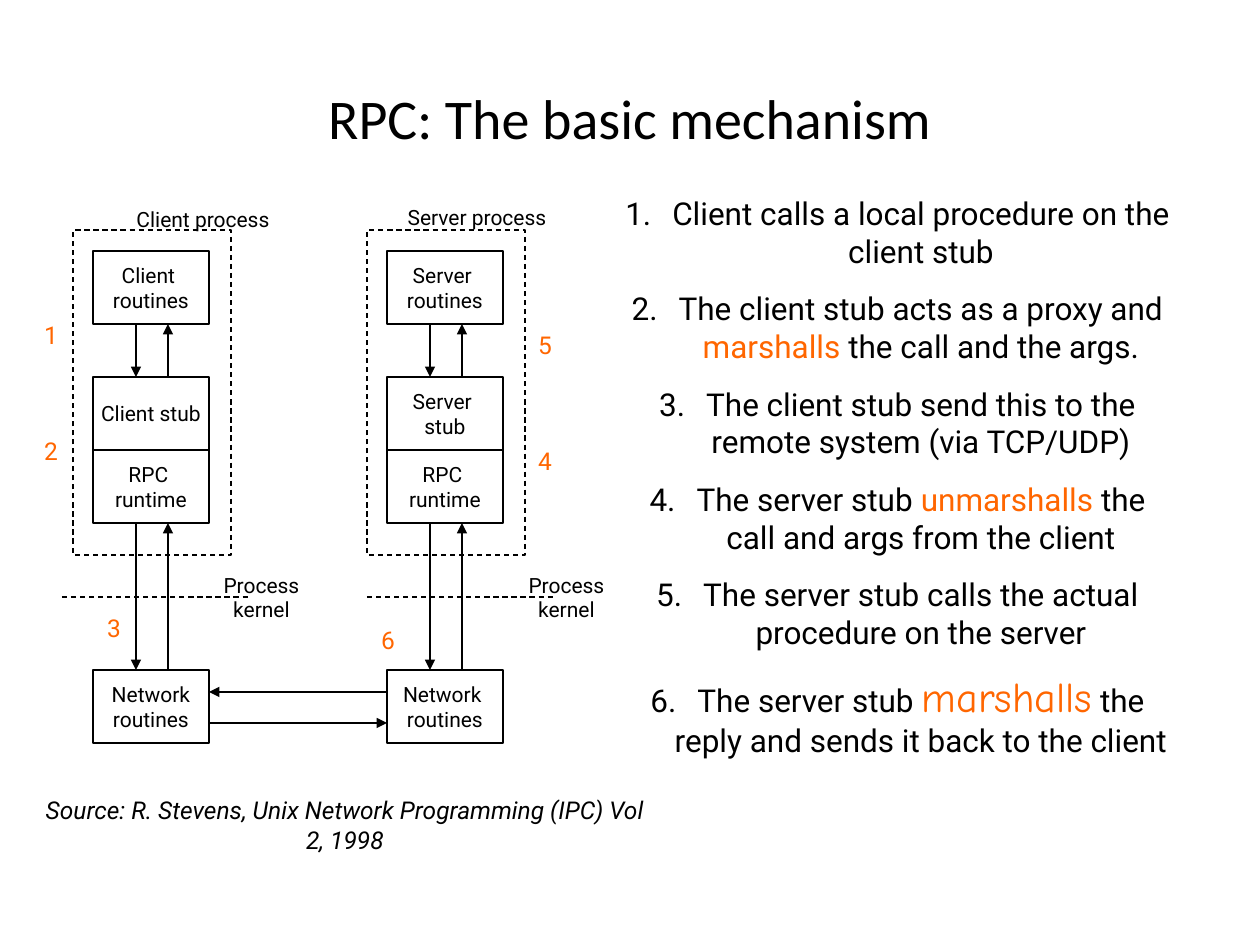
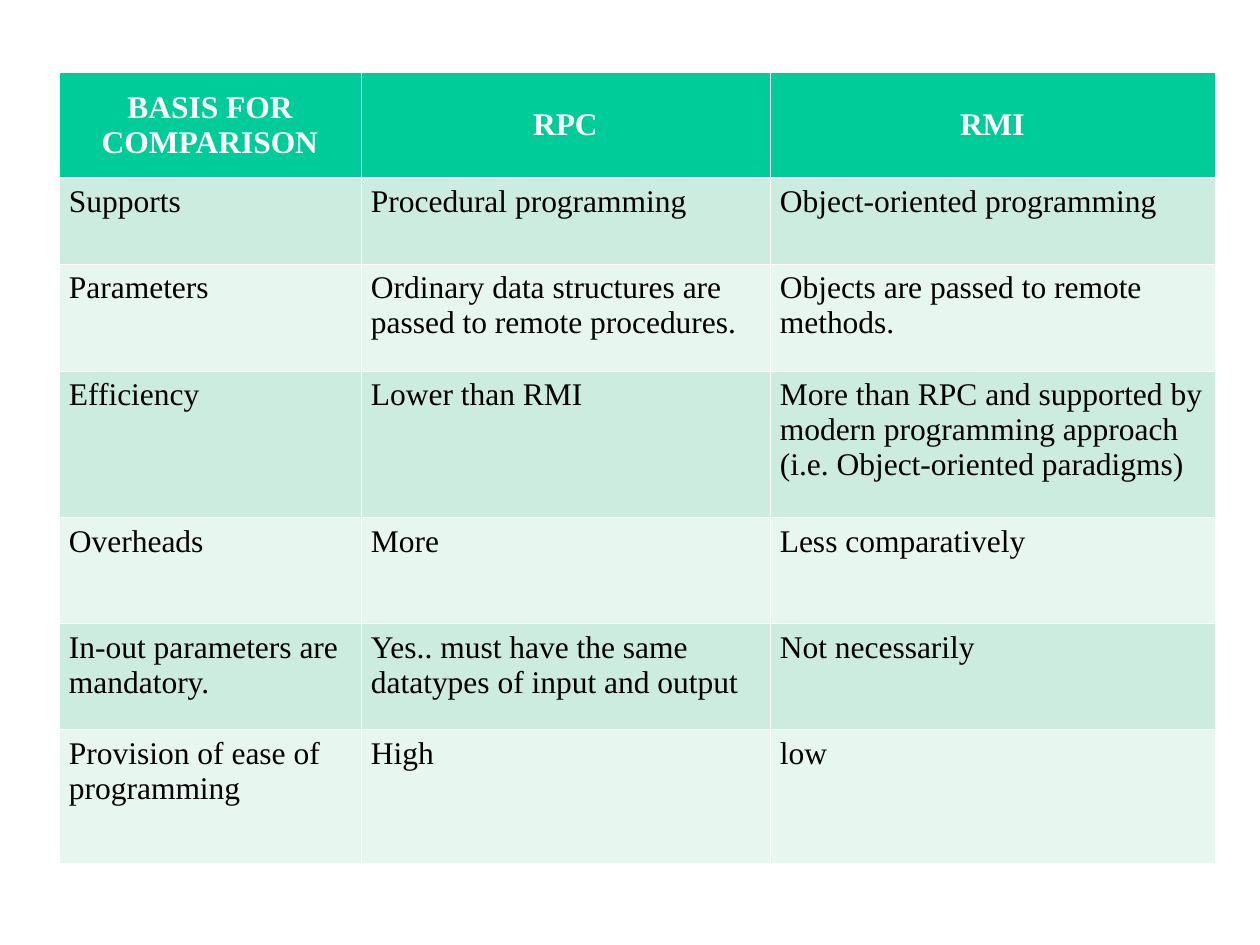
from dataclasses import dataclass
from lxml import etree
from pptx import Presentation, util as u
from pptx.dml.color import RGBColor
from pptx.enum import dml, shapes, text
from pptx.oxml import ns


@dataclass
class Theme:
    ink: str = "000000"
    hot: str = "FF6600"
    pale: str = "FFFFFF"
    head: str = "00CC99"
    bands: tuple = ("CBECDE", "E7F6EF")
    sans: str = "Roboto"
    serif: str = "Times New Roman"
    top: str = "Calibri"
    hand: str = "Comic Neue"
    title: int = 32
    large: int = 24
    body: int = 18
    note: int = 14
    small: int = 12
    rule: float = 0.75


look = Theme()
PX = 914400 / 126
MID = text.PP_ALIGN.CENTER


def say(para, words, size, ink=look.ink, face=look.sans):
    run = para.add_run()
    run.text = words
    run.font.size = u.Pt(size)
    run.font.name = face
    run.font.color.rgb = RGBColor.from_string(ink)
    return run


def link(x1, y1, x2, y2, dash=False):
    """Draw a dashed divider, or an arrow that points at (x2, y2)."""
    ends = [round(n * PX) for n in (x1, y1, x2, y2)]
    wire = one.shapes.add_connector(shapes.MSO_CONNECTOR.STRAIGHT, *ends)
    wire.line.color.rgb = RGBColor.from_string(look.ink)
    wire.line.width = u.Pt(look.rule)
    if dash:
        wire.line.dash_style = dml.MSO_LINE.DASH
    else:
        edge = wire.element.spPr.find(ns.qn("a:ln"))
        etree.SubElement(edge, ns.qn("a:tailEnd"), type="triangle")
    etree.SubElement(wire.element.spPr, ns.qn("a:effectLst"))


deck = Presentation()
deck.slide_width, deck.slide_height = u.Inches(10), u.Inches(7.5)

# Slide 1: title
one = deck.slides.add_slide(deck.slide_layouts[5])
title = one.shapes.title
title.left, title.top, title.width, title.height = [
    round(n * PX) for n in (63, 38, 1134, 158)]
title.text_frame.auto_size = text.MSO_AUTO_SIZE.NONE
title.text_frame.vertical_anchor = text.MSO_ANCHOR.MIDDLE
para = title.text_frame.paragraphs[0]
para.alignment = MID
say(para, "RPC: The basic mechanism", look.title, face=look.top)

# Client and server stacks: box rows and their text lines
tops = (251, 377, 450, 670)
stacks = [
    (0, (("Client ", "routines"), ("Client stub",),
         ("RPC ", "runtime"), ("Network", "routines"))),
    (294, (("Server ", "routines"), ("Server ", "stub"),
           ("RPC ", "runtime"), ("Network ", "routines"))),
]
for shift, names in stacks:
    parts = [(93 + shift, top, 116, 73, lines)
             for top, lines in zip(tops, names)]
    parts.append((73 + shift, 230, 158, 325, ()))
    for x, y, w, h, lines in parts:
        box = one.shapes.add_shape(
            shapes.MSO_SHAPE.RECTANGLE, *[round(n * PX) for n in (x, y, w, h)])
        box.shadow.inherit = False
        box.fill.background()
        box.line.color.rgb = RGBColor.from_string(look.ink)
        box.line.width = u.Pt(look.rule)
        if not lines:
            box.line.dash_style = dml.MSO_LINE.DASH
        frame = box.text_frame
        frame.word_wrap = False
        frame.vertical_anchor = text.MSO_ANCHOR.MIDDLE
        for i, words in enumerate(lines):
            para = frame.add_paragraph() if i else frame.paragraphs[0]
            para.alignment = MID
            say(para, words, look.small)
    for high, low in ((324, 377), (523, 670)):
        link(136 + shift, high, 136 + shift, low)
        link(168 + shift, low, 168 + shift, high)

# Network arrows and kernel dividers
link(209, 723, 387, 723)
link(387, 692, 209, 692)
for x in (62, 367):
    link(x, 597, x + 189, 597, dash=True)

# Labels, step numbers and source line
labels = [(93, 200, 220, 38, "Client process"),
          (367, 198, 220, 38, "Server process")]
for x in (188, 493):
    labels += [(x, 566, 147, 38, "Process"), (x, 590, 147, 38, "kernel")]
notes = [(x, y, 42, 43, str(i)) for i, (x, y) in enumerate(
    ((30, 314), (30, 430), (93, 607), (524, 440), (524, 324), (367, 619)), 1)]
source = [(30, 789, 630, 72,
           "Source: R. Stevens, Unix Network Programming (IPC) Vol 2, 1998")]
for group, size, ink in ((labels, look.small, look.ink),
                         (notes, look.note, look.hot),
                         (source, look.note, look.ink)):
    for x, y, w, h, words in group:
        box = one.shapes.add_textbox(*[round(n * PX) for n in (x, y, w, h)])
        box.text_frame.word_wrap = True
        para = box.text_frame.paragraphs[0]
        para.alignment = MID
        run = say(para, words, size, ink)
        if group is source:
            run.font.italic = True

# Numbered steps: plain, highlighted and plain words in turn
steps = [
    ("Client calls a local procedure on the client stub",),
    ("The client stub acts as a proxy and ", "marshalls",
     " the call and the args."),
    ("The client stub send this to the remote system (via TCP/UDP)",),
    ("The server stub ", "unmarshalls", " the call and args from the client"),
    ("The server stub calls the actual procedure on the server",),
    ("The server stub ", "marshalls",
     " the reply and sends it back to the client"),
]
box = one.shapes.add_textbox(*[round(n * PX) for n in (609, 188, 577, 580)])
frame = box.text_frame
frame.word_wrap = True
dent = round(47 * PX)
for i, step in enumerate(steps):
    para = frame.add_paragraph() if i else frame.paragraphs[0]
    props = para._p.get_or_add_pPr()
    props.set("marL", str(dent))
    props.set("indent", str(-dent))
    tint = etree.SubElement(props, ns.qn("a:buClr"))
    etree.SubElement(tint, ns.qn("a:srgbClr"), val=look.ink)
    etree.SubElement(props, ns.qn("a:buAutoNum"), type="arabicPeriod")
    para.alignment = MID
    if i:
        para.space_before = u.Pt(11.2)
    for j, words in enumerate(step):
        if j != 1:
            say(para, words, look.body)
        elif i == len(steps) - 1:
            say(para, words, look.large, look.hot, look.hand)
        else:
            say(para, words, look.body, look.hot)

# Slide 2: comparison table
two = deck.slides.add_slide(deck.slide_layouts[6])
rows = [
    ("BASIS FOR COMPARISON", "RPC", "RMI"),
    ("Supports", "Procedural programming", "Object-oriented programming"),
    ("Parameters", "Ordinary data structures are passed to remote procedures.",
     "Objects are passed to remote methods."),
    ("Efficiency", "Lower than RMI",
     "More than RPC and supported by modern programming approach "
     "(i.e. Object-oriented paradigms)"),
    ("Overheads", "More", "Less comparatively"),
    ("In-out parameters are mandatory.",
     "Yes.. must have the same datatypes of input and output",
     "Not necessarily"),
    ("Provision of ease of programming", "High", "low"),
]
wide = (302, 409, 445)
tall = (106, 86, 107, 147, 106, 106, 134)
grid = two.shapes.add_table(len(rows), len(wide), *[
    round(n * PX) for n in (59, 72, sum(wide), sum(tall))]).table
for col, w in zip(grid.columns, wide):
    col.width = round(w * PX)
for r, (row, h) in enumerate(zip(rows, tall)):
    grid.rows[r].height = round(h * PX)
    for c, words in enumerate(row):
        cell = grid.cell(r, c)
        # White borders, thicker under the header
        props = cell._tc.get_or_add_tcPr()
        for side in "LRTB":
            thick = (r, side) in ((0, "B"), (1, "T"))
            edge = etree.SubElement(props, ns.qn("a:ln" + side),
                                    w=str(u.Pt(1.47 if thick else 0.45)))
            fill = etree.SubElement(edge, ns.qn("a:solidFill"))
            etree.SubElement(fill, ns.qn("a:srgbClr"), val=look.pale)
        cell.fill.solid()
        cell.fill.fore_color.rgb = RGBColor.from_string(
            look.bands[(r - 1) % 2] if r else look.head)
        cell.margin_left = cell.margin_right = round(10 * PX)
        para = cell.text_frame.paragraphs[0]
        run = say(para, words, look.body, look.ink if r else look.pale,
                  look.serif)
        run.font.bold = r == 0
        if r == 0:
            para.alignment = MID
            cell.vertical_anchor = text.MSO_ANCHOR.MIDDLE

deck.save("out.pptx")
